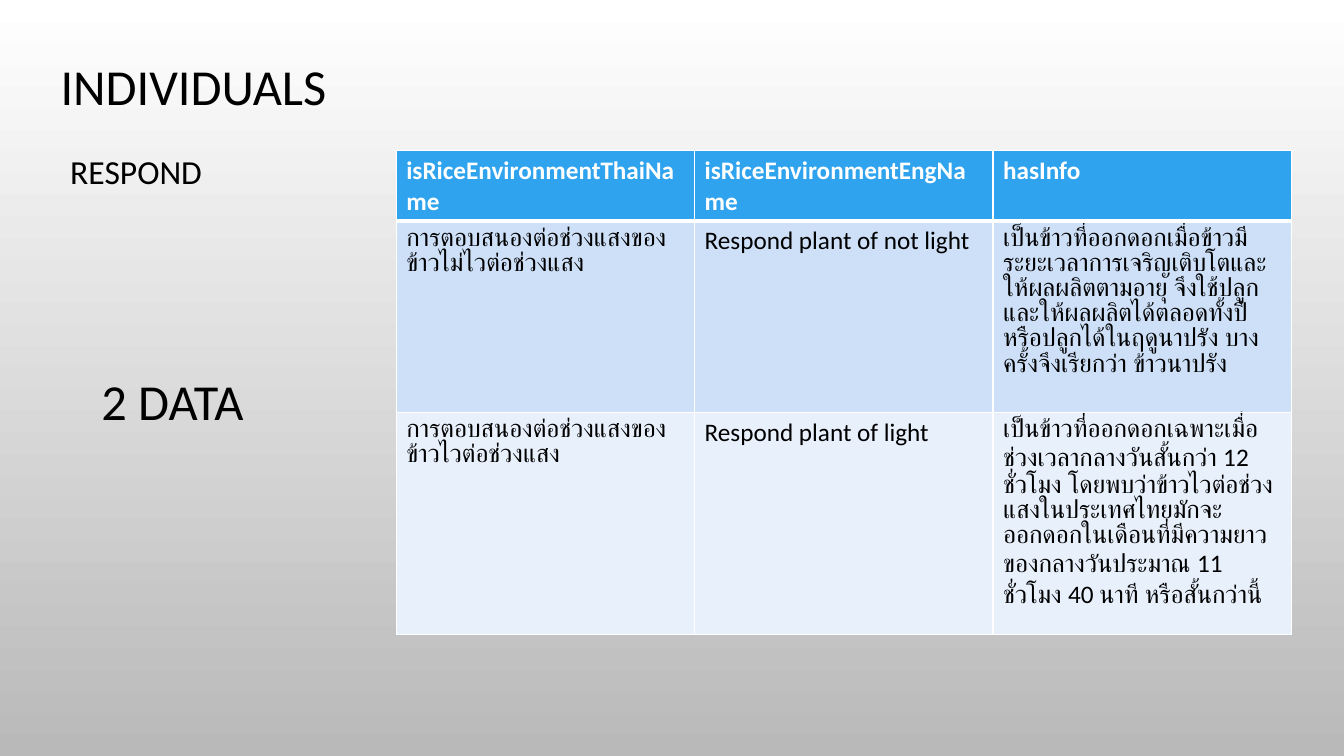
from pptx import Presentation
from pptx.dml.color import RGBColor
from pptx.enum import text as t
from pptx.oxml import parse_xml
from pptx.oxml.ns import nsdecls
from pptx.util import Inches, Pt

FONT = "Calibri"
BLACK, WHITE = "000000", "FFFFFF"
ROW_FILLS = ["2FA3EE", "CDE0F8", "E8F0FC"]
ROW_HEIGHTS = [0.7, 1.6, 2.02]
COLUMN_WIDTH = 2.96
ROWS = [
    ["isRiceEnvironmentThaiName", "isRiceEnvironmentEngName", "hasInfo"],
    [
        "การตอบสนองต่อช่วงแสงของข้าวไม่ไวต่อช่วงแสง",
        "Respond plant of not light",
        "เป็นข้าวที่ออกดอกเมื่อข้าวมีระยะเวลาการเจริญเติบโตและให้ผลผลิตตามอายุ "
        "จึงใช้ปลูกและให้ผลผลิตได้ตลอดทั้งปี หรือปลูกได้ในฤดูนาปรัง "
        "บางครั้งจึงเรียกว่า ข้าวนาปรัง",
    ],
    [
        "การตอบสนองต่อช่วงแสงของข้าวไวต่อช่วงแสง",
        "Respond plant of light",
        "เป็นข้าวที่ออกดอกเฉพาะเมื่อช่วงเวลากลางวันสั้นกว่า 12 ชั่วโมง "
        "โดยพบว่าข้าวไวต่อช่วงแสงในประเทศไทยมักจะออกดอกในเดือนที่มีความยาว "
        "ของกลางวันประมาณ 11 ชั่วโมง 40 นาที หรือสั้นกว่านี้",
    ],
]


def color(value):
    return RGBColor.from_string(value)


def write(frame, content, size=18, fill=BLACK, bold=False, align=None, spacing=None):
    frame.word_wrap = True
    paragraph = frame.paragraphs[0]
    paragraph.alignment = align
    paragraph.line_spacing = spacing
    run = paragraph.add_run()
    run.text = content
    run.font.name = FONT
    run.font.size = Pt(size)
    run.font.bold = bold
    run.font.color.rgb = color(fill)


def add_label(slide, content, left, top, width, height, size):
    box = slide.shapes.add_textbox(
        Inches(left), Inches(top), Inches(width), Inches(height))
    box.text_frame.vertical_anchor = t.MSO_ANCHOR.MIDDLE
    write(box.text_frame, content, size=size, align=t.PP_ALIGN.CENTER, spacing=0.9)


def set_borders(cell, widths):
    """Draw white cell borders; widths are points for left, right, top, bottom."""
    properties = cell._tc.get_or_add_tcPr()
    for index, (side, width) in enumerate(zip("LRTB", widths)):
        properties.insert(index, parse_xml(
            f'<a:ln{side} {nsdecls("a")} w="{Pt(width)}"><a:solidFill>'
            f'<a:srgbClr val="{WHITE}"/></a:solidFill></a:ln{side}>'))


def add_rice_table(slide, left, top):
    table = slide.shapes.add_table(
        len(ROWS), len(ROWS[0]), Inches(left), Inches(top),
        Inches(COLUMN_WIDTH * len(ROWS[0])), Inches(sum(ROW_HEIGHTS))).table
    for column in table.columns:
        column.width = Inches(COLUMN_WIDTH)
    for index, contents in enumerate(ROWS):
        table.rows[index].height = Inches(ROW_HEIGHTS[index])
        header = index == 0
        for cell, content in zip(table.rows[index].cells, contents):
            cell.fill.solid()
            cell.fill.fore_color.rgb = color(ROW_FILLS[index])
            set_borders(cell, (1, 1, 3 if index == 1 else 1, 3 if header else 1))
            write(cell.text_frame, content, bold=header,
                  fill=WHITE if header else BLACK)


def set_background(slide, start, end):
    fill = slide.background.fill
    fill.gradient()
    fill.gradient_angle = 270
    for stop, value, position in zip(fill.gradient_stops, (start, end), (0, 1)):
        stop.color.rgb = color(value)
        stop.position = position


def main():
    presentation = Presentation()
    presentation.slide_width = Inches(13.33)
    presentation.slide_height = Inches(7.5)
    slide = presentation.slides.add_slide(presentation.slide_layouts[6])
    set_background(slide, WHITE, "B9B9B9")
    add_label(slide, "INDIVIDUALS", 0.33, 0.43, 3.18, 0.91, 36)
    add_label(slide, "RESPOND", 0.52, 1.34, 1.66, 0.76, 24)
    add_rice_table(slide, 3.93, 1.49)
    add_label(slide, "2 DATA", 0.52, 3.55, 2.38, 0.91, 36)
    presentation.save("out.pptx")


if __name__ == "__main__":
    main()
